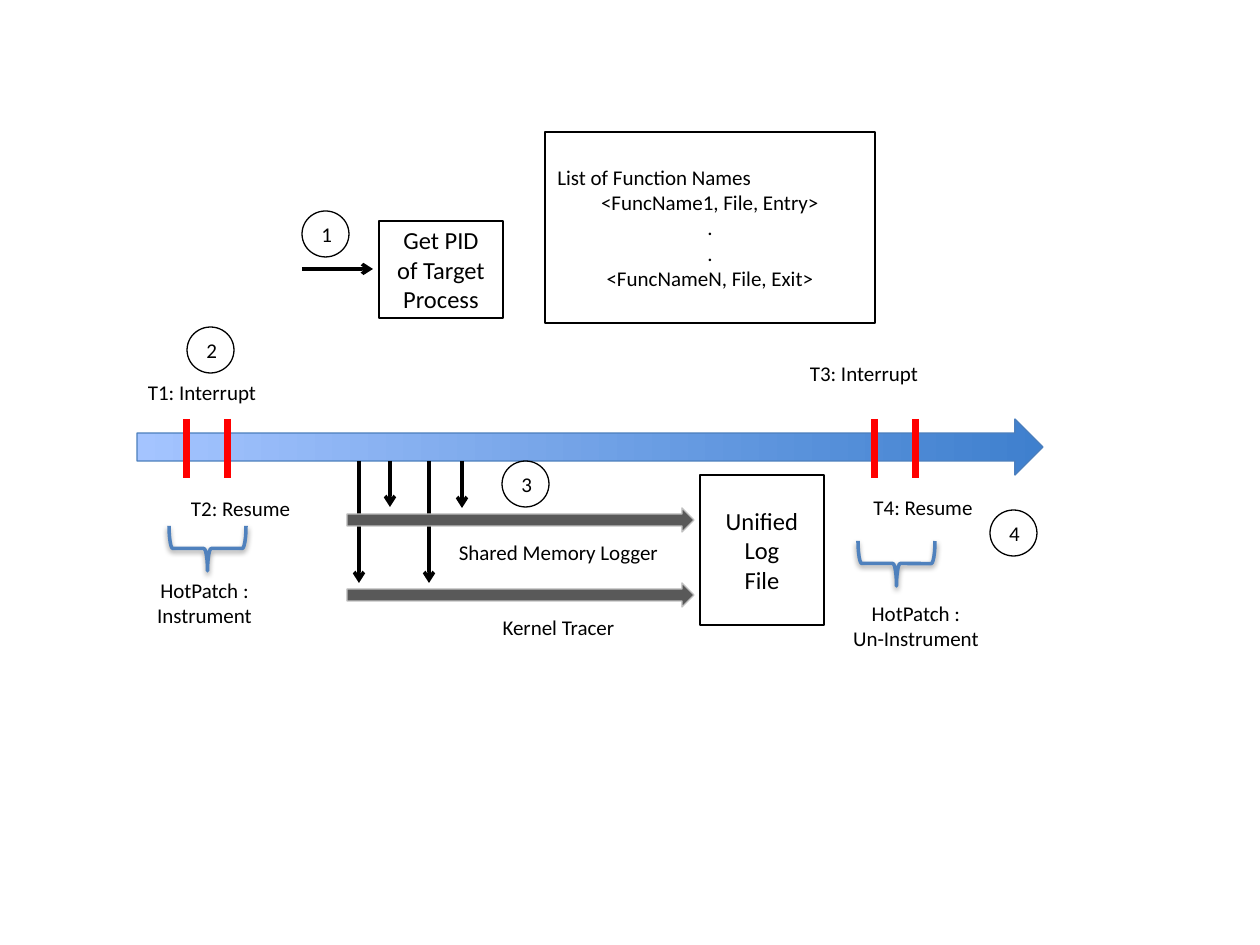
from pptx import Presentation
from pptx.dml.color import RGBColor
from pptx.enum.shapes import MSO_CONNECTOR, MSO_SHAPE
from pptx.enum.text import MSO_ANCHOR, PP_ALIGN
from pptx.oxml import parse_xml
from pptx.oxml.ns import nsdecls
from pptx.util import Pt

SCALE = 914400 / 126
FONT = "Calibri"
HEX = {"ink": "000000", "red": "FF0000", "pale": "A4C4FF", "deep": "3F80CE",
       "edge": "4B7EBC", "grey": "595959", "rim": "BFBFBF", "brace": "4F81BD"}

TIME = (137, 419, 906, 56)
NAMES = ["List of Function Names", "<FuncName1, File, Entry>", ".", ".",
         "<FuncNameN, File, Exit>"]
BOXES = [((545, 132, 330, 191), NAMES, 12),
         ((379, 221, 124, 97), ["Get PID of Target Process"], 14),
         ((700, 475, 124, 150), ["Unified Log", "File"], 14)]
TICKS = [187, 228, 875, 916]
DROPS = [(359, 583), (390, 507), (429, 583), (462, 508)]
LOGS = [508, 583]
LABELS = [((123, 373, 158, 38), ["T1: Interrupt"]),
          ((161, 489, 159, 38), ["T2: Resume"]),
          ((796, 354, 136, 38), ["T3: Interrupt"]),
          ((857, 488, 132, 38), ["T4: Resume"]),
          ((443, 533, 231, 38), ["Shared Memory Logger"]),
          ((443, 608, 231, 38), ["Kernel Tracer"]),
          ((126, 571, 157, 63), ["HotPatch : Instrument"]),
          ((814, 594, 204, 63), ["HotPatch :", "Un-Instrument"])]
BRACES = [(185, 510), (874, 525)]
STEPS = [(302, 211), (187, 327), (502, 461), (990, 510)]


def px(*nums):
    return [round(n * SCALE) for n in nums]


def tint(name):
    return RGBColor.from_string(HEX[name])


def write(shape, lines, size, anchor):
    frame = shape.text_frame
    frame.word_wrap = True
    frame.vertical_anchor = anchor
    frame.text = "\n".join(lines)
    for para in frame.paragraphs:
        para.alignment = PP_ALIGN.CENTER
        para.font.size = Pt(size)
        para.font.name = FONT
        para.font.color.rgb = tint("ink")


def draw(kind, spot, edge, width=0.75, fill=None):
    shape = shapes.add_shape(kind, *px(*spot))
    shape.shadow.inherit = False
    shape.line.color.rgb = tint(edge)
    shape.line.width = Pt(width)
    if fill:
        shape.fill.solid()
        shape.fill.fore_color.rgb = tint(fill)
    else:
        shape.fill.background()
    return shape


def stroke(ends, color, width, head=False):
    line = shapes.add_connector(MSO_CONNECTOR.STRAIGHT, *px(*ends))
    line.line.color.rgb = tint(color)
    line.line.width = Pt(width)
    if head:
        line.line._get_or_add_ln().append(
            parse_xml(f'<a:tailEnd {nsdecls("a")} type="arrow"/>'))
    line._element.spPr.append(parse_xml(f'<a:effectLst {nsdecls("a")}/>'))


def shade(shape):
    props = shape._element.spPr
    props.remove(props.find("{*}effectLst"))
    props.append(parse_xml(
        f'<a:effectLst {nsdecls("a")}><a:outerShdw blurRad="40000" dist="20000"'
        f' dir="5400000" rotWithShape="0"><a:srgbClr val="{HEX["ink"]}">'
        '<a:alpha val="38000"/></a:srgbClr></a:outerShdw></a:effectLst>'))


deck = Presentation()
deck.slide_width, deck.slide_height = px(1260, 945)
shapes = deck.slides.add_slide(deck.slide_layouts[6]).shapes

time = draw(MSO_SHAPE.RIGHT_ARROW, TIME, "edge")
time.fill.gradient()
time.fill.gradient_angle = 0
for stop, name in zip(time.fill.gradient_stops, ("pale", "deep")):
    stop.color.rgb = tint(name)

for spot, lines, size in BOXES:
    box = draw(MSO_SHAPE.RECTANGLE, spot, "ink")
    write(box, lines, size, MSO_ANCHOR.MIDDLE)
    if lines is NAMES:
        box.text_frame.paragraphs[0].alignment = PP_ALIGN.LEFT

for x in TICKS:
    stroke((x, 419, x, 478), "red", 4)
for x, end in DROPS:
    stroke((x, 461, x, end), "ink", 2, True)
stroke((302, 269, 373, 269), "ink", 2, True)

for y in LOGS:
    draw(MSO_SHAPE.RIGHT_ARROW, (347, y, 347, 24), "rim", fill="grey")

for spot, lines in LABELS:
    write(shapes.add_textbox(*px(*spot)), lines, 12, MSO_ANCHOR.TOP)

for x, y in BRACES:
    brace = draw(MSO_SHAPE.RIGHT_BRACE, (x, y, 45, 77), "brace", 2)
    brace.rotation = 90
    shade(brace)

for step, (x, y) in enumerate(STEPS, 1):
    disc = draw(MSO_SHAPE.OVAL, (x, y, 47, 46), "ink")
    write(disc, [str(step)], 12, MSO_ANCHOR.MIDDLE)

deck.save("out.pptx")
